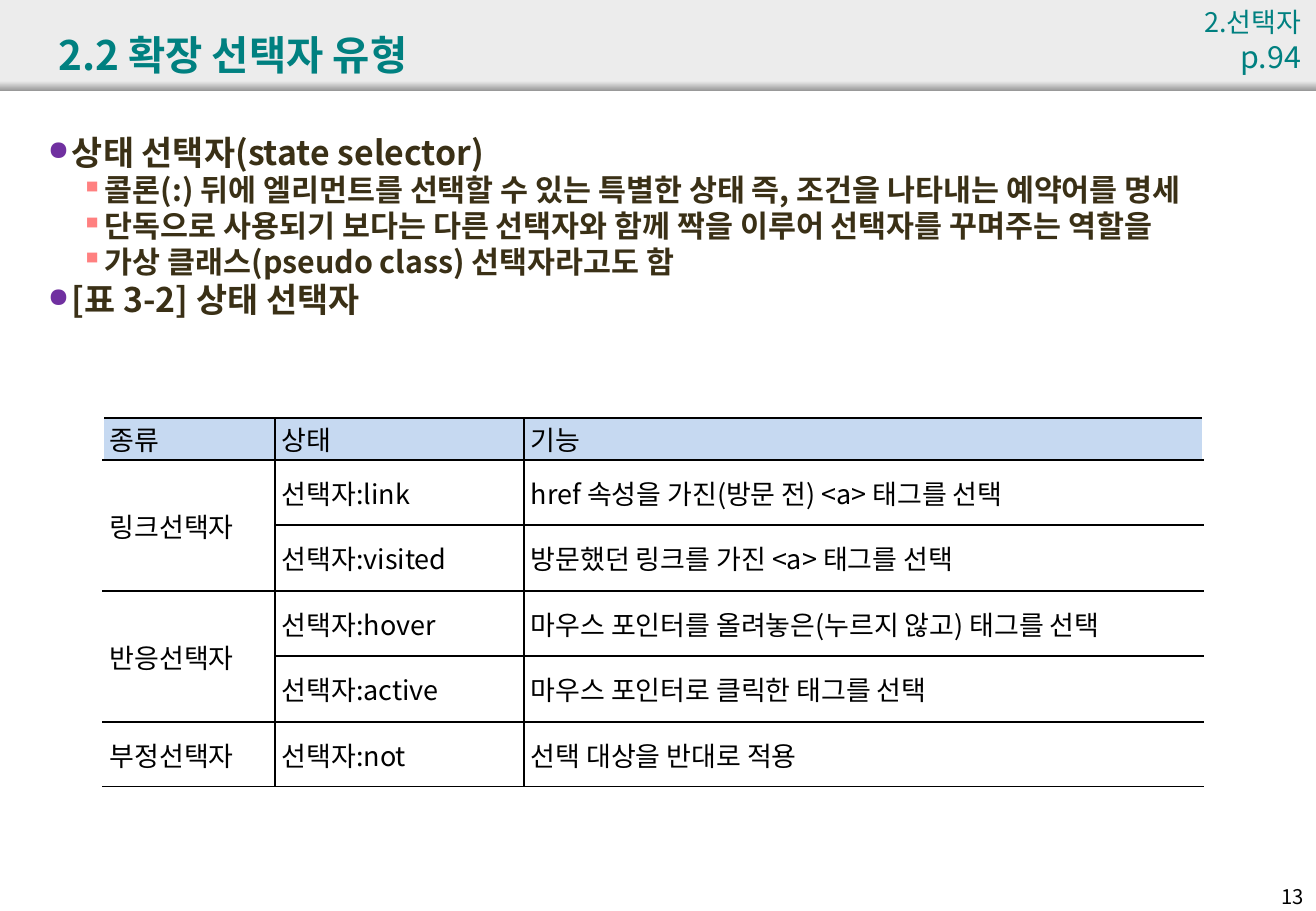
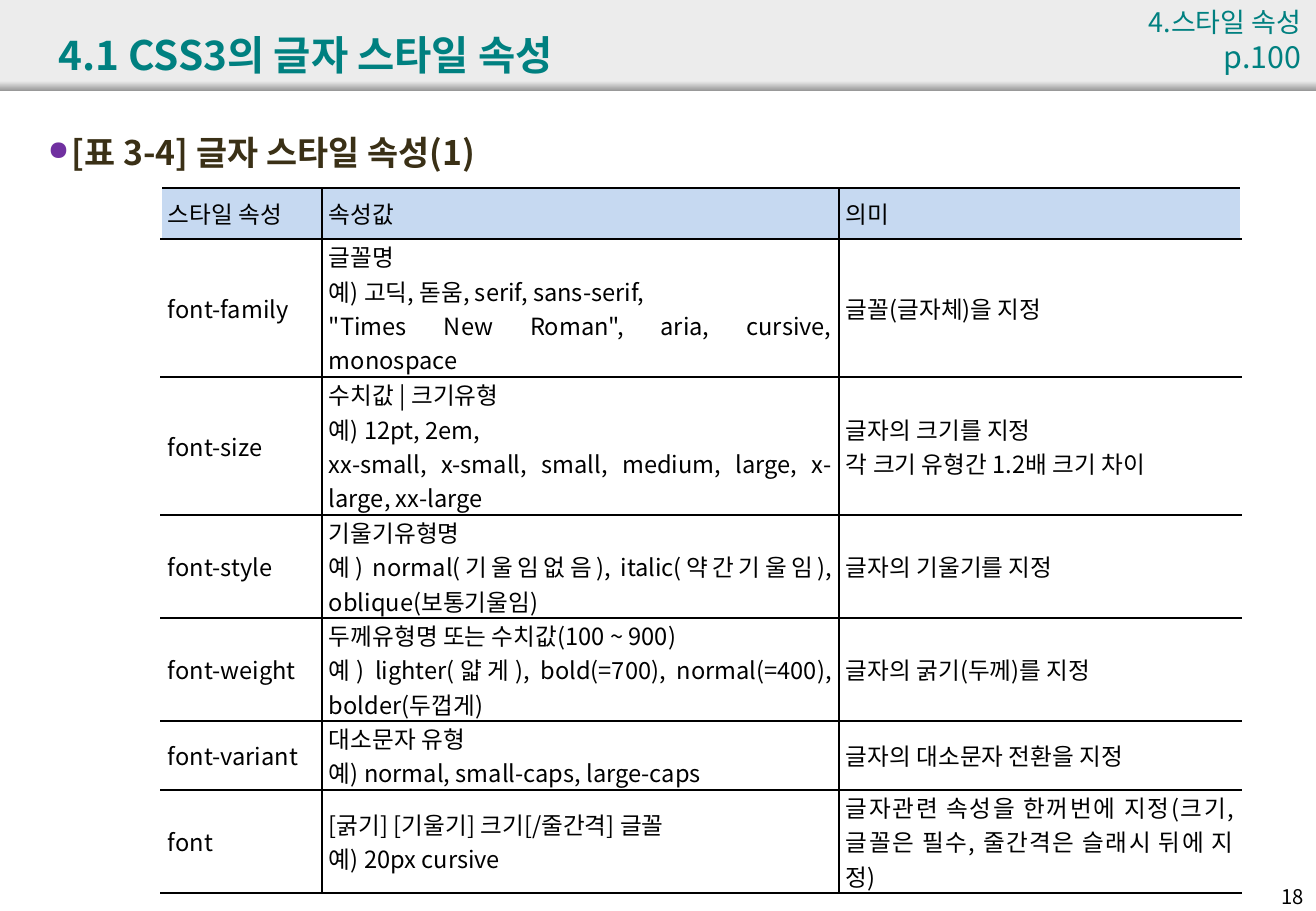
from lxml import etree
from pptx import Presentation
from pptx import util as u
from pptx.dml.color import RGBColor
from pptx.enum import shapes, text
from pptx.oxml.ns import qn

FONT = "Noto Sans CJK KR"
TEAL = RGBColor(0x00, 0x80, 0x80)
BROWN = RGBColor(0x3A, 0x30, 0x16)
BLACK = RGBColor(0x00, 0x00, 0x00)
BAND = RGBColor(0xEC, 0xEC, 0xEC)
BAND_EDGE = RGBColor(0x97, 0x97, 0x97)
HEADER_BLUE = RGBColor(0xC6, 0xD9, 0xF1)
PURPLE = RGBColor(0x70, 0x30, 0xA0)
PINK = RGBColor(0xFF, 0x80, 0x80)

EMU_PER_PX = 914400 / 121.5
WIDTH, HEIGHT = 1316, 911

# Per outline level: bullet, its colour, its size in percent, text indent in px, text size
LEVELS = [("●", PURPLE, 80, 24, 20), ("▪", PINK, 100, 57, 18)]
HANGING = 24

# Content; in a table, None continues the cell above and a list holds paragraphs
SLIDES = [
    {
        "title": "2.2 확장 선택자 유형",
        "reference": ("2.선택자 ", "p.94"),
        "reference_width": 146,
        "page": "13",
        "outline": [
            (0, "상태 선택자(state selector)"),
            (1, "콜론(:) 뒤에 엘리먼트를 선택할 수 있는 특별한 상태 즉, 조건을 나타내는 예약어를 명세"),
            (1, "단독으로 사용되기 보다는 다른 선택자와 함께 짝을 이루어 선택자를 꾸며주는 역할을"),
            (1, "가상 클래스(pseudo class) 선택자라고도 함"),
            (0, "[표 3-2] 상태 선택자"),
        ],
        "table": {
            "at": (103, 418),
            "size": 16,
            "columns": [172, 249, 679],
            "rows": [42, 65, 66, 65, 66, 65],
            "cells": [
                ("종류", "상태", "기능"),
                ("링크선택자", "선택자:link", "href 속성을 가진(방문 전) <a> 태그를 선택"),
                (None, "선택자:visited", "방문했던 링크를 가진 <a> 태그를 선택"),
                ("반응선택자", "선택자:hover", "마우스 포인터를 올려놓은(누르지 않고) 태그를 선택"),
                (None, "선택자:active", "마우스 포인터로 클릭한 태그를 선택"),
                ("부정선택자", "선택자:not", "선택 대상을 반대로 적용"),
            ],
        },
    },
    {
        "title": "4.1 CSS3의 글자 스타일 속성",
        "reference": ("4.스타일 속성 ", "p.100"),
        "reference_width": 183,
        "page": "18",
        "outline": [(0, "[표 3-4] 글자 스타일 속성(1)")],
        "table": {
            "at": (161, 188),
            "size": 14,
            "columns": [161, 517, 402],
            "rows": [51, 138, 138, 103, 103, 69, 103],
            "cells": [
                ("스타일 속성", "속성값", "의미"),
                ("font-family",
                 ["글꼴명", "예) 고딕, 돋움, serif, sans-serif,",
                  '"Times New Roman", aria, cursive, monospace'],
                 "글꼴(글자체)을 지정"),
                ("font-size",
                 ["수치값 | 크기유형", "예) 12pt, 2em,",
                  "xx-small, x-small, small, medium, large, x-large, xx-large"],
                 ["글자의 크기를 지정", "각 크기 유형간 1.2배 크기 차이"]),
                ("font-style",
                 ["기울기유형명", "예) normal(기울임없음), italic(약간기울임), oblique(보통기울임)"],
                 "글자의 기울기를 지정"),
                ("font-weight",
                 ["두께유형명 또는 수치값(100 ~ 900)",
                  "예) lighter(얇게), bold(=700), normal(=400), bolder(두껍게)"],
                 "글자의 굵기(두께)를 지정"),
                ("font-variant",
                 ["대소문자 유형", "예) normal, small-caps, large-caps"],
                 "글자의 대소문자 전환을 지정"),
                ("font",
                 ["[굵기] [기울기] 크기[/줄간격] 글꼴", "예) 20px cursive"],
                 "글자관련 속성을 한꺼번에 지정(크기, 글꼴은 필수, 줄간격은 슬래시 뒤에 지정)"),
            ],
        },
    },
]


def px(*lengths):
    return [u.Emu(round(length * EMU_PER_PX)) for length in lengths]


def write(paragraph, words, size, color=BLACK, bold=False, align=text.PP_ALIGN.LEFT):
    paragraph.alignment = align
    run = paragraph.add_run()
    run.text = words
    run.font.size = u.Pt(size)
    run.font.bold = bold
    run.font.color.rgb = color
    run.font.name = FONT
    etree.SubElement(run.font._element, qn("a:ea"), typeface=FONT)


def next_paragraph(frame, index):
    return frame.add_paragraph() if index else frame.paragraphs[0]


def add_box(slide, *place):
    frame = slide.shapes.add_textbox(*px(*place)).text_frame
    frame.word_wrap = True
    return frame


def add_bullet(paragraph, level):
    char, color, percent, indent, _ = LEVELS[level]
    properties = paragraph._p.get_or_add_pPr()
    properties.set("marL", str(px(indent)[0]))
    properties.set("indent", str(px(-HANGING)[0]))
    properties.set("lvl", str(level))
    bullet_color = etree.SubElement(properties, qn("a:buClr"))
    etree.SubElement(bullet_color, qn("a:srgbClr"), val=str(color))
    etree.SubElement(properties, qn("a:buSzPct"), val=str(percent * 1000))
    etree.SubElement(properties, qn("a:buChar"), char=char)


def add_outline(slide, items):
    frame = add_box(slide, 36, 130, 1254, 756)
    for index, (level, words) in enumerate(items):
        paragraph = next_paragraph(frame, index)
        size = LEVELS[level][-1]
        add_bullet(paragraph, level)
        paragraph.line_spacing = 0.9
        if index:
            paragraph.space_before = u.Pt(size / 10)
        write(paragraph, words, size, BROWN, bold=True)


def set_borders(cell, sides):
    properties = cell._tc.get_or_add_tcPr()
    for side in sides:
        line = etree.SubElement(properties, qn("a:ln" + side), w=str(u.Pt(1)))
        fill = etree.SubElement(line, qn("a:solidFill"))
        etree.SubElement(fill, qn("a:srgbClr"), val=str(BLACK))


def add_grid(slide, at, size, columns, rows, cells):
    place = px(*at, sum(columns), sum(rows))
    table = slide.shapes.add_table(len(rows), len(columns), *place).table
    table.first_row = table.horz_banding = False
    for column, width in zip(table.columns, px(*columns)):
        column.width = width
    for row, height in zip(table.rows, px(*rows)):
        row.height = height
    last = len(columns) - 1
    for r, values in enumerate(cells):
        for c, value in enumerate(values):
            cell = table.cell(r, c)
            # The outer left and right sides stay open
            set_borders(cell, ("L" if c else "") + ("R" if c < last else "") + "TB")
            if r == 0:
                cell.fill.solid()
                cell.fill.fore_color.rgb = HEADER_BLUE
            else:
                cell.fill.background()
            if value is None:
                table.cell(r - 1, c).merge(cell)
                continue
            cell.margin_left, cell.margin_right, cell.margin_top, cell.margin_bottom = px(7, 7, 0, 0)
            cell.vertical_anchor = text.MSO_ANCHOR.MIDDLE
            for index, words in enumerate([value] if isinstance(value, str) else value):
                write(next_paragraph(cell.text_frame, index), words, size,
                      align=text.PP_ALIGN.JUSTIFY)


def add_band(slide, layout, top, height):
    """Draw a full-width band and hand it to the layout, behind its placeholders."""
    shape = slide.shapes.add_shape(shapes.MSO_SHAPE.RECTANGLE, *px(0, top, WIDTH, height))
    shape.shadow.inherit = False
    shape.line.fill.background()
    layout.placeholders[0]._element.addprevious(shape._element)
    return shape


def build_layout(slide, layout):
    title = layout.placeholders[0]
    title.left, title.top, title.width, title.height = px(46, 16, 1205, 77)
    header = add_band(slide, layout, 0, 91)
    header.fill.solid()
    header.fill.fore_color.rgb = BAND
    edge = add_band(slide, layout, 81, 10)
    edge.fill.gradient()
    edge.fill.gradient_angle = 270
    for stop, color in zip(edge.fill.gradient_stops, (BAND, BAND_EDGE)):
        stop.color.rgb = color


def fill_slide(slide, content):
    # Title
    frame = slide.shapes.title.text_frame
    frame.vertical_anchor = text.MSO_ANCHOR.MIDDLE
    frame.auto_size = text.MSO_AUTO_SIZE.NONE
    write(frame.paragraphs[0], content["title"], 24, TEAL, bold=True)
    # Outline and table
    add_outline(slide, content["outline"])
    add_grid(slide, **content["table"])
    # Chapter reference and page number
    width = content["reference_width"]
    reference = add_box(slide, 1313 - width, 0, width, 49).paragraphs[0]
    for words, size in zip(content["reference"], (16, 18)):
        write(reference, words, size, TEAL, align=text.PP_ALIGN.RIGHT)
    page = add_box(slide, 1250, 878, 66, 33).paragraphs[0]
    write(page, content["page"], 12, align=text.PP_ALIGN.RIGHT)


def main():
    presentation = Presentation()
    presentation.slide_width, presentation.slide_height = px(WIDTH, HEIGHT)
    layout = presentation.slide_layouts[5]
    for index, content in enumerate(SLIDES):
        slide = presentation.slides.add_slide(layout)
        if index == 0:
            build_layout(slide, layout)
        fill_slide(slide, content)
    presentation.save("out.pptx")


if __name__ == "__main__":
    main()
